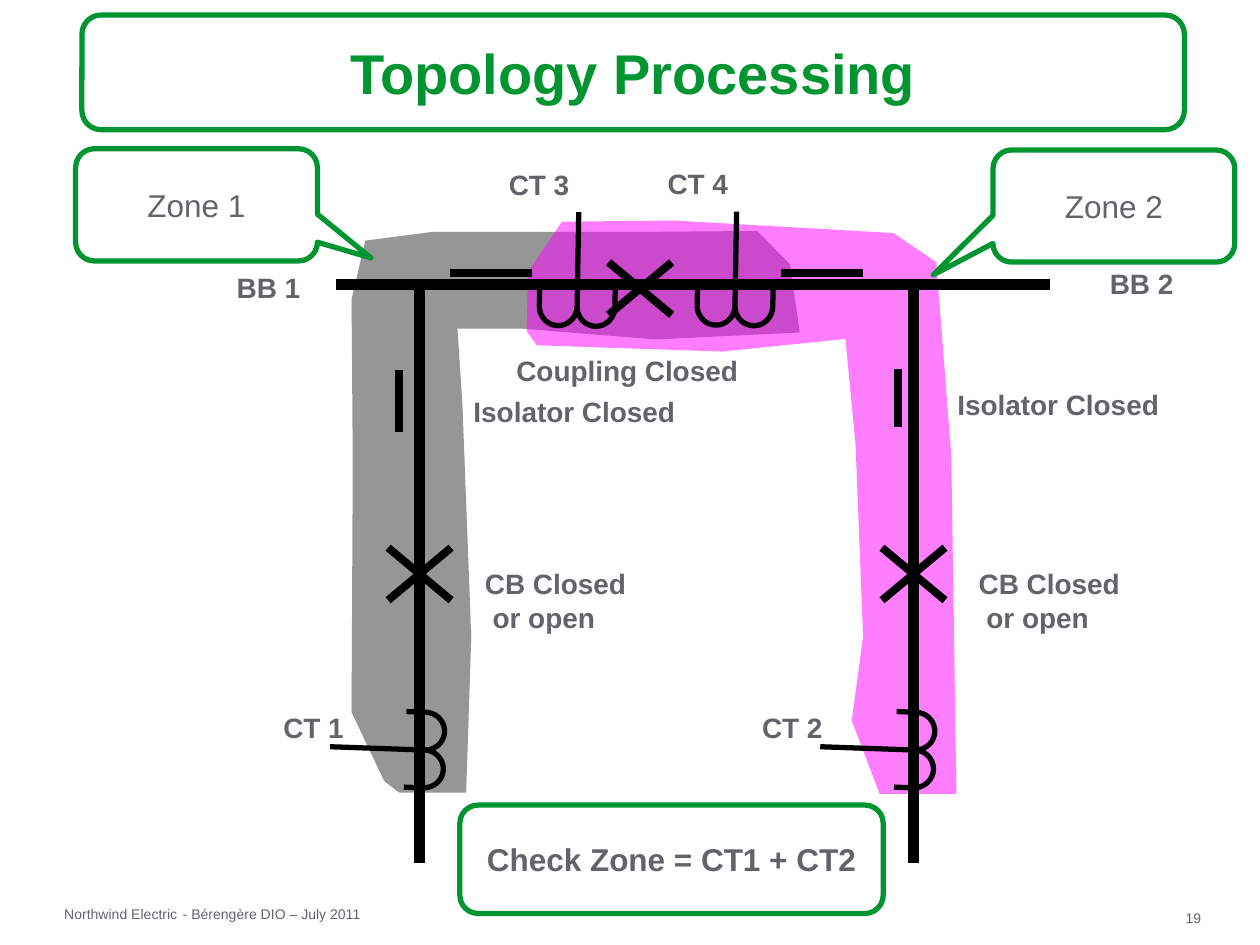
import math

from lxml import etree
from pptx import Presentation
from pptx.dml.color import RGBColor
from pptx.enum import shapes, text
from pptx.oxml import ns
from pptx.util import Pt

THEME = {
    "font": "Arial",
    "green": RGBColor.from_string("009530"),
    "grey": RGBColor.from_string("626469"),
    "black": RGBColor.from_string("000000"),
    "white": RGBColor.from_string("FFFFFF"),
    "zone 1": RGBColor.from_string("969696"),
    "zone 2": RGBColor.from_string("FF00FF"),
    "title": Pt(32),
    "box": Pt(18),
    "label": Pt(16),
    "footer": Pt(8),
    "border": Pt(3),
    "coil": Pt(3),
    "switch": Pt(4.5),
    "busbar": Pt(6),
}
CENTER = text.PP_ALIGN.CENTER
LEFT = text.PP_ALIGN.LEFT
MIDDLE = text.MSO_ANCHOR.MIDDLE
TOP = text.MSO_ANCHOR.TOP


def write(holder, lines, size, color="grey", bold=True, align=LEFT, anchor=TOP,
          wrap=False, inset=(7.2, 3.6)):
    frame = holder.text_frame
    side, end = (Pt(value) for value in inset)
    frame_format = {"word_wrap": wrap, "auto_size": text.MSO_AUTO_SIZE.NONE,
                    "vertical_anchor": anchor, "margin_left": side,
                    "margin_right": side, "margin_top": end, "margin_bottom": end}
    for key, value in frame_format.items():
        setattr(frame, key, value)
    frame.text = lines
    font_format = {"name": THEME["font"], "size": THEME[size], "bold": bold}
    for paragraph in frame.paragraphs:
        paragraph.alignment = align
        for key, value in font_format.items():
            setattr(paragraph.font, key, value)
        paragraph.font.color.rgb = THEME[color]


def wire(parent, start, finish, width):
    line = parent.add_connector(shapes.MSO_CONNECTOR.STRAIGHT,
                                *(Pt(value) for value in (*start, *finish)))
    line.line.color.rgb = THEME["black"]
    line.line.width = THEME[width]
    etree.SubElement(line._element.spPr, ns.qn("a:effectLst"))


prs = Presentation()
prs.slide_width, prs.slide_height = Pt(720), Pt(540)
slide = prs.slides.add_slide(prs.slide_layouts[5])
canvas = slide.shapes

title = canvas.title
title_area = {"left": 46.8, "top": 8.6, "width": 630, "height": 65.5}
for key, value in title_area.items():
    setattr(title, key, Pt(value))
write(title, "Topology Processing", "title", "green", align=CENTER, anchor=MIDDLE)

zones = {
    "zone 1": [(228.2, 453), (266.4, 453), (269.3, 364), (264.2, 230), (261.4, 187.9),
               (299, 187.9), (375, 194), (457, 190), (451.4, 151), (432.7, 132),
               (372, 132.5), (247.7, 132.5), (208.8, 137.5), (200.9, 171), (201.6, 264),
               (200.9, 407), (219.6, 446.4)],
    "zone 2": [(502.6, 453.6), (546.5, 453.6), (543.6, 260.6), (535, 149.8),
               (510.5, 133.2), (385.2, 126), (321.1, 126.7), (301.7, 155.5),
               (301, 189.4), (306.7, 197.3), (412.6, 200.9), (483.1, 193.7),
               (488.9, 254.2), (493.2, 363.6), (486.7, 411.8)],
}
for zone, corners in zones.items():
    outline = [(Pt(x), Pt(y)) for x, y in corners]
    builder = canvas.build_freeform(*outline[0])
    builder.add_line_segments(outline[1:], close=True)
    area = builder.convert_to_shape()
    area.shadow.inherit = False
    area.fill.solid()
    area.fill.fore_color.rgb = THEME[zone]
    area.line.fill.background()
    if zone == "zone 2":
        color = area._element.spPr.find(".//" + ns.qn("a:srgbClr"))
        etree.SubElement(color, ns.qn("a:alpha"), val="51000")

busbar_y, feeder_1, feeder_2 = 162.7, 239.8, 522
wire(canvas, (192.2, busbar_y), (599.8, busbar_y), "busbar")
for feeder in (feeder_1, feeder_2):
    wire(canvas, (feeder, busbar_y), (feeder, 493.2), "busbar")

isolators = [((257, 156.2), (304, 156.2)), ((446.4, 156.2), (493.2, 156.2)),
             ((228.2, 211.7), (228.2, 247)), ((513.4, 211), (513.4, 244))]
for start, finish in isolators:
    wire(canvas, start, finish, "switch")

for x, y in ((feeder_1, 328), (feeder_2, 328), (365.8, 164.9)):
    for rise in (-15, 15):
        wire(canvas, (x - 18, y + rise), (x + 18, y - rise), "switch")

radius, depth, lead = 10.8, 11.1, 54
for x, y, degrees in ((242.6, 428.6, 2), (522.7, 428.6, 2),
                      (420, 174.9, 91), (329.8, 175.2, 91)):
    cos, sin = math.cos(math.radians(degrees)), math.sin(math.radians(degrees))
    coil = canvas.add_group_shape().shapes
    for middle in (-radius, radius):
        arc = []
        for step in range(0, 181, 10):
            along = middle - radius * math.cos(math.radians(step))
            out = depth * math.sin(math.radians(step))
            arc.append((Pt(x - along * sin + out * cos), Pt(y + along * cos + out * sin)))
        builder = coil.build_freeform(*arc[0])
        builder.add_line_segments(arc[1:], close=False)
        turn = builder.convert_to_shape()
        turn.shadow.inherit = False
        turn.fill.background()
        turn.line.color.rgb = THEME["black"]
        turn.line.width = THEME["coil"]
    for along, length in ((-2 * radius, depth), (0, lead), (2 * radius, depth)):
        foot_x, foot_y = x - along * sin, y + along * cos
        wire(coil, (foot_x, foot_y), (foot_x - length * cos, foot_y - length * sin), "coil")

labels = [
    ("Isolator Closed", 263.5, 221.8, 129.6, 26.6),
    ("Isolator Closed", 540, 218.2, 129.6, 26.6),
    ("Coupling Closed", 288, 198.7, 141.1, 26.6),
    ("CB Closed\n or open", 270, 320.4, 95, 46.1),
    ("CB Closed\n or open", 552.2, 320.4, 95, 46.1),
    ("BB 1", 128.2, 151.2, 50.4, 26.6),
    ("BB 2", 627.1, 149, 50.4, 26.6),
    ("CT 1", 154.8, 402.5, 65.5, 26.6),
    ("CT 2", 428.4, 402.5, 65.5, 26.6),
    ("CT 3", 283.7, 92.2, 61.2, 26.6),
    ("CT 4", 374.4, 91.4, 61.2, 26.6),
]
for words, *area in labels:
    label = canvas.add_textbox(*(Pt(value) for value in area))
    write(label, words, "label", wrap=words.startswith("CT"))

preset = shapes.MSO_SHAPE
frames = [
    ("", preset.ROUNDED_RECTANGLE, title_area.values(), [0.167], False),
    ("Zone 1", preset.ROUNDED_RECTANGULAR_CALLOUT, (43.2, 85, 138.2, 64.1),
     [0.721, 0.473, 0.167], False),
    ("Zone 2", preset.ROUNDED_RECTANGULAR_CALLOUT, (567.4, 85.7, 138.2, 64.1),
     [-0.747, 0.614, 0.167], False),
    ("Check Zone = CT1 + CT2", preset.FLOWCHART_ALTERNATE_PROCESS,
     (262.8, 460.1, 241.9, 61.9), [], True),
]
for words, kind, area, adjustments, filled in frames:
    frame = canvas.add_shape(kind, *(Pt(value) for value in area))
    for index, value in enumerate(adjustments):
        frame.adjustments[index] = value
    frame.shadow.inherit = False
    if filled:
        frame.fill.solid()
        frame.fill.fore_color.rgb = THEME["white"]
    else:
        frame.fill.background()
    frame.line.color.rgb = THEME["green"]
    frame.line.width = THEME["border"]
    if words:
        write(frame, words, "box", bold=filled, align=CENTER, anchor=MIDDLE)

footers = [("Northwind Electric", 36.7, 517.7, 64.8, 9.4),
           ("- Bérengère DIO – July 2011", 104.4, 517.7, 102.2, 9.4),
           ("19", 677.5, 519.8, 23, 9.4)]
for words, *area in footers:
    footer = canvas.add_textbox(*(Pt(value) for value in area))
    write(footer, words, "footer", bold=False, inset=(0, 0), wrap=words == "19")

prs.save("out.pptx")
